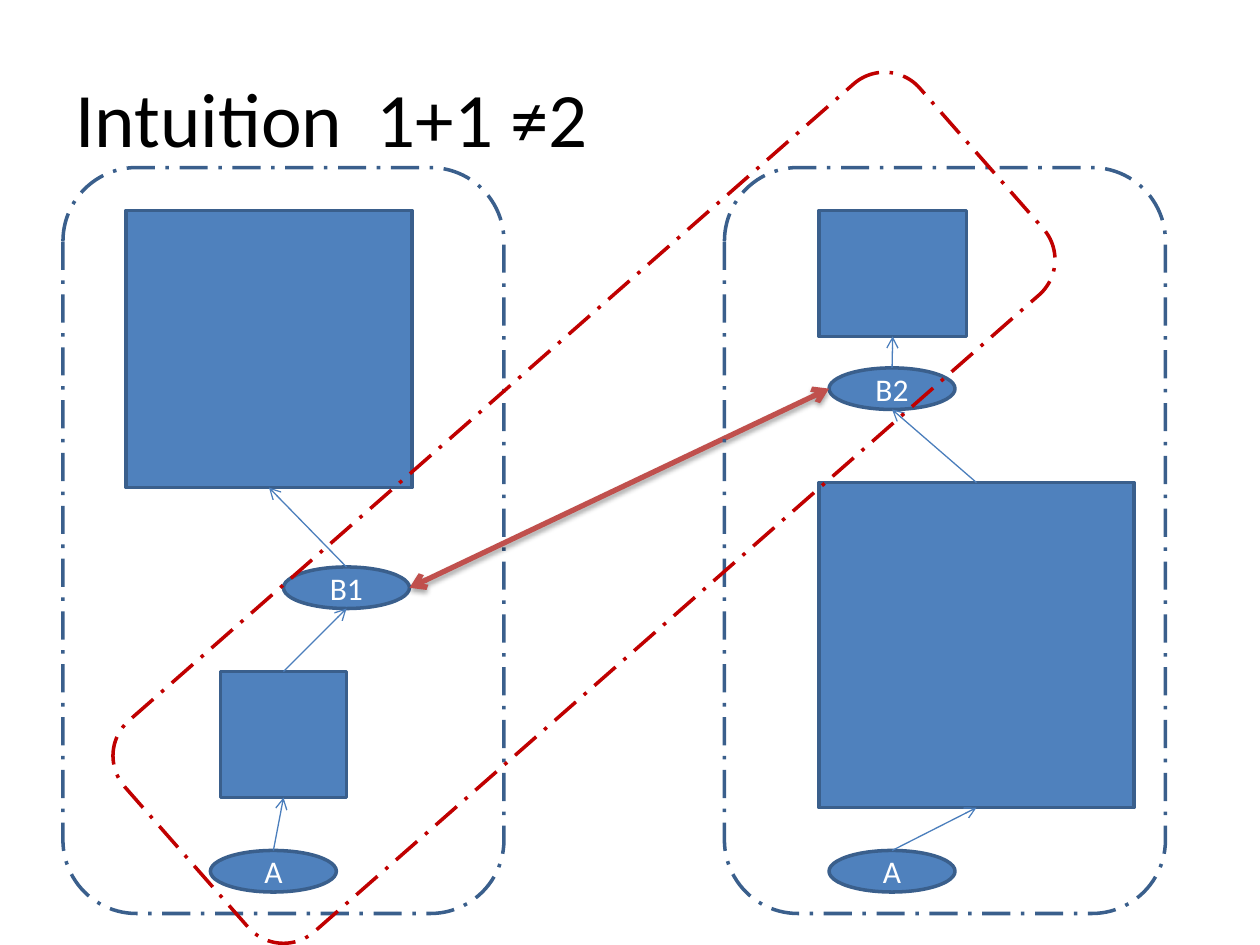
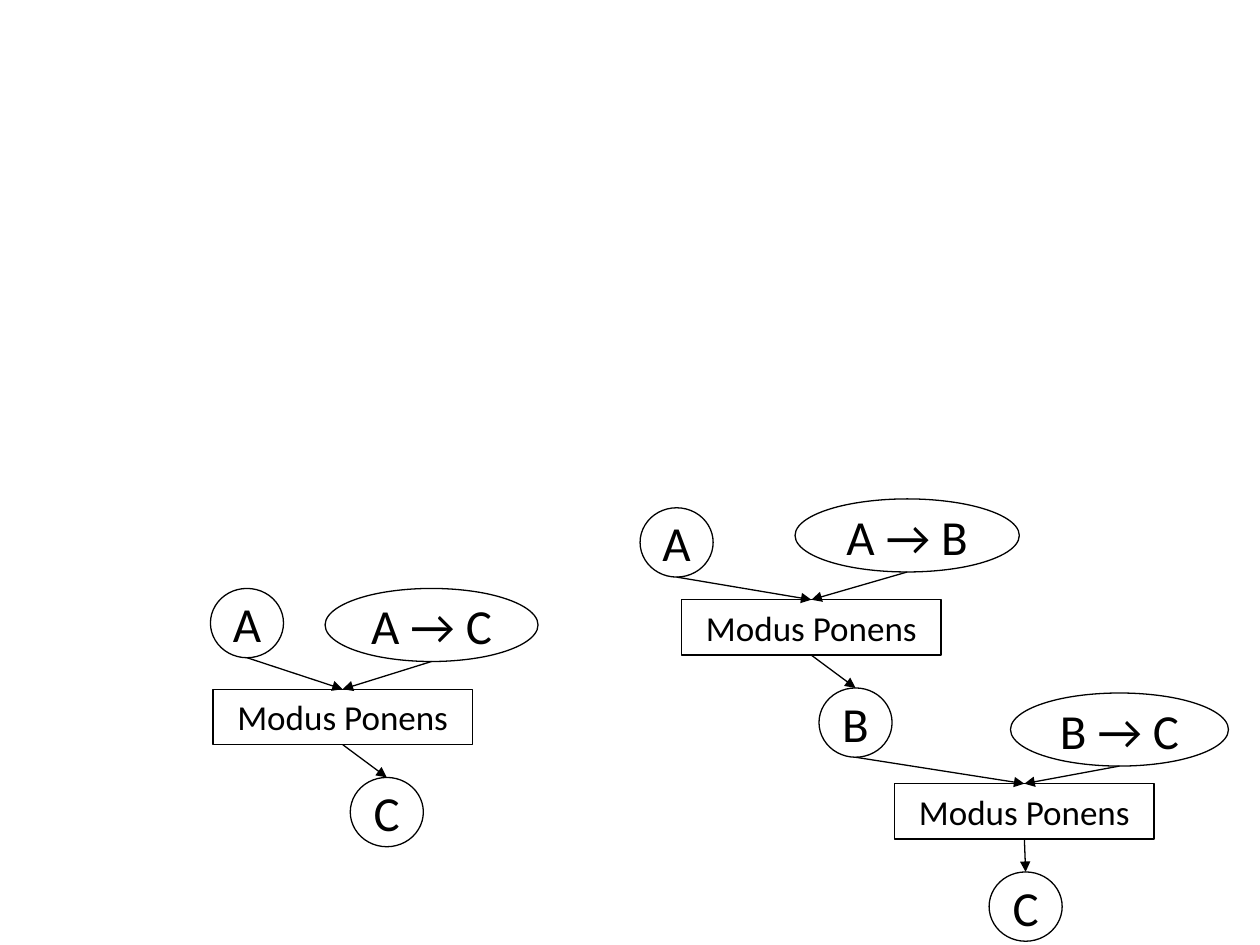
from dataclasses import dataclass
from typing import Optional

import lxml.etree
import pptx
import pptx.dml.color
import pptx.enum.dml
import pptx.enum.shapes
import pptx.enum.text
import pptx.oxml.ns
import pptx.presentation
import pptx.shapes.autoshape
import pptx.shapes.connector
import pptx.slide
import pptx.text.text
import pptx.util
from pptx.dml.color import RGBColor
from pptx.util import Inches

BLACK = RGBColor(0x00, 0x00, 0x00)
WHITE = RGBColor(0xFF, 0xFF, 0xFF)
BLUE = RGBColor(0x4F, 0x81, 0xBD)
DARK_BLUE = RGBColor(0x3A, 0x5F, 0x8C)
ARROW_BLUE = RGBColor(0x4B, 0x7E, 0xBC)
ROSE = RGBColor(0xC0, 0x50, 0x4D)
RED = RGBColor(0xC0, 0x00, 0x00)
FONT = "Calibri"

Preset = pptx.enum.shapes.MSO_SHAPE
Point = tuple[float, float]


@dataclass(frozen=True)
class Style:
    line: RGBColor
    line_width: float
    fill: Optional[RGBColor] = None
    text: RGBColor = BLACK
    text_size: float = 18
    dashed: bool = False


@dataclass(frozen=True)
class Node:
    """A box measured in inches."""
    left: float
    top: float
    width: float
    height: float
    preset: Preset
    style: Style
    label: str = ""
    rotation: float = 0

    @property
    def top_center(self) -> Point:
        return self.left + self.width / 2, self.top

    @property
    def bottom_center(self) -> Point:
        return self.left + self.width / 2, self.top + self.height

    @property
    def left_middle(self) -> Point:
        return self.left, self.top + self.height / 2

    @property
    def right_middle(self) -> Point:
        return self.left + self.width, self.top + self.height / 2


@dataclass(frozen=True)
class ArrowStyle:
    color: RGBColor
    width: float
    end: str
    start: Optional[str] = None
    shadow: bool = False


@dataclass(frozen=True)
class Inference:
    """A rule that leads from a fact and an implication to a conclusion."""
    fact: Node
    implication: Node
    rule: Node
    conclusion: Node


SOLID = Style(DARK_BLUE, 2, BLUE, WHITE)
PANEL = Style(DARK_BLUE, 2, dashed=True)
HIGHLIGHT = Style(RED, 2, dashed=True)
STATEMENT = Style(BLACK, 0.75, text_size=28)
RULE = Style(BLACK, 0.75, text_size=20)

STEP_ARROW = ArrowStyle(ARROW_BLUE, 0.75, "arrow")
LINK_ARROW = ArrowStyle(ROSE, 3, "arrow", "arrow", shadow=True)
PROOF_ARROW = ArrowStyle(BLACK, 0.75, "triangle")


def add_run(paragraph: pptx.text.text._Paragraph, text: str, size: float, color: RGBColor) -> None:
    run = paragraph.add_run()
    run.text = text
    run.font.name = FONT
    run.font.size = pptx.util.Pt(size)
    run.font.color.rgb = color


def add_title(slide: pptx.slide.Slide, text: str) -> None:
    box = slide.shapes.add_textbox(Inches(0.5), Inches(0.3), Inches(9), Inches(1.25))
    frame = box.text_frame
    frame.word_wrap = True
    frame.vertical_anchor = pptx.enum.text.MSO_ANCHOR.MIDDLE
    add_run(frame.paragraphs[0], text, 44, BLACK)


def draw_node(slide: pptx.slide.Slide, node: Node) -> pptx.shapes.autoshape.Shape:
    style = node.style
    shape = slide.shapes.add_shape(
        node.preset, Inches(node.left), Inches(node.top), Inches(node.width), Inches(node.height)
    )
    shape.shadow.inherit = False
    shape.rotation = node.rotation
    if style.fill is None:
        shape.fill.background()
    else:
        shape.fill.solid()
        shape.fill.fore_color.rgb = style.fill
    shape.line.color.rgb = style.line
    shape.line.width = pptx.util.Pt(style.line_width)
    if style.dashed:
        shape.line.dash_style = pptx.enum.dml.MSO_LINE.LONG_DASH_DOT
    if node.label:
        frame = shape.text_frame
        frame.word_wrap = False
        frame.vertical_anchor = pptx.enum.text.MSO_ANCHOR.MIDDLE
        paragraph = frame.paragraphs[0]
        paragraph.alignment = pptx.enum.text.PP_ALIGN.CENTER
        add_run(paragraph, node.label, style.text_size, style.text)
    return shape


def add_child(parent: lxml.etree._Element, name: str, **attributes: str) -> lxml.etree._Element:
    return lxml.etree.SubElement(parent, pptx.oxml.ns.qn(name), attributes)


def draw_arrow(
    slide: pptx.slide.Slide, start: Point, end: Point, style: ArrowStyle
) -> pptx.shapes.connector.Connector:
    connector = slide.shapes.add_connector(
        pptx.enum.shapes.MSO_CONNECTOR.STRAIGHT,
        *(Inches(value) for value in (*start, *end)),
    )
    connector.line.color.rgb = style.color
    connector.line.width = pptx.util.Pt(style.width)
    line = connector.line._get_or_add_ln()
    if style.start:
        add_child(line, "a:headEnd", type=style.start)
    add_child(line, "a:tailEnd", type=style.end)
    effects = add_child(connector._element.spPr, "a:effectLst")
    if style.shadow:
        shadow = add_child(
            effects, "a:outerShdw", blurRad=str(pptx.util.Pt(3.1)),
            dist=str(pptx.util.Pt(1.8)), dir="5400000", rotWithShape="0",
        )
        color = add_child(shadow, "a:srgbClr", val=str(BLACK))
        add_child(color, "a:alpha", val="35000")
    return connector


def panel(left: float) -> Node:
    return Node(left, 1.33, 3.5, 5.92, Preset.ROUNDED_RECTANGLE, PANEL)


def process(left: float, top: float, width: float, height: float) -> Node:
    return Node(left, top, width, height, Preset.FLOWCHART_PROCESS, SOLID)


def state(left: float, top: float, label: str) -> Node:
    return Node(left, top, 1, 0.33, Preset.OVAL, SOLID, label)


def fact(left: float, top: float, label: str) -> Node:
    return Node(left, top, 0.58, 0.55, Preset.OVAL, STATEMENT, label)


def implication(left: float, top: float, width: float, label: str) -> Node:
    return Node(left, top, width, 0.58, Preset.OVAL, STATEMENT, label)


def modus_ponens(left: float, top: float) -> Node:
    return Node(left, top, 2.06, 0.44, Preset.RECTANGLE, RULE, "Modus Ponens")


def build_intuition_slide(slide: pptx.slide.Slide) -> None:
    large_left = process(1, 1.67, 2.27, 2.2)
    small_left = process(1.75, 5.33, 1, 1)
    large_right = process(6.5, 3.83, 2.5, 2.58)
    small_right = process(6.5, 1.67, 1.17, 1)
    b1 = state(2.25, 4.5, "B1")
    b2 = state(6.58, 2.92, "B2")
    a_left = state(1.67, 6.75, "A")
    a_right = state(6.58, 6.75, "A")

    draw_node(slide, panel(0.5))
    add_title(slide, "Intuition  1+1 ≠2")
    for node in (large_left, small_left, large_right, small_right, b1, b2, a_left, a_right):
        draw_node(slide, node)
    for chain in ((a_left, small_left, b1, large_left), (a_right, large_right, b2, small_right)):
        for lower, upper in zip(chain, chain[1:]):
            draw_arrow(slide, lower.bottom_center if lower.top < upper.top else lower.top_center,
                       upper.bottom_center, STEP_ARROW)
    draw_arrow(slide, b1.right_middle, b2.left_middle, LINK_ARROW)
    draw_node(slide, panel(5.75))
    draw_node(slide, Node(3.52, -0.17, 2.23, 8.4, Preset.ROUNDED_RECTANGLE, HIGHLIGHT, rotation=48.7))


def draw_inference(slide: pptx.slide.Slide, inference: Inference) -> None:
    """Draw everything but the fact, which may be an earlier conclusion."""
    for node in (inference.implication, inference.rule, inference.conclusion):
        draw_node(slide, node)
    for upper, lower in (
        (inference.fact, inference.rule),
        (inference.implication, inference.rule),
        (inference.rule, inference.conclusion),
    ):
        draw_arrow(slide, upper.bottom_center, lower.top_center, PROOF_ARROW)


def build_proof_slide(slide: pptx.slide.Slide) -> None:
    b = fact(6.5, 5.46, "B")
    chained_proof = (
        Inference(fact(5.08, 4.03, "A"), implication(6.31, 3.96, 1.78, "A → B"),
                  modus_ponens(5.41, 4.76), b),
        Inference(b, implication(8.02, 5.5, 1.73, "B → C"),
                  modus_ponens(7.1, 6.22), fact(7.85, 6.92, "C")),
    )
    direct_proof = (
        Inference(fact(1.67, 4.67, "A"), implication(2.58, 4.67, 1.69, "A → C"),
                  modus_ponens(1.69, 5.47), fact(2.78, 6.17, "C")),
    )
    for proof in (chained_proof, direct_proof):
        draw_node(slide, proof[0].fact)
        for inference in proof:
            draw_inference(slide, inference)


def main() -> None:
    presentation = pptx.Presentation()
    presentation.slide_width = Inches(10)
    presentation.slide_height = Inches(7.5)
    blank_layout = presentation.slide_layouts[6]
    for build_slide in (build_intuition_slide, build_proof_slide):
        build_slide(presentation.slides.add_slide(blank_layout))
    presentation.save("out.pptx")


if __name__ == "__main__":
    main()
